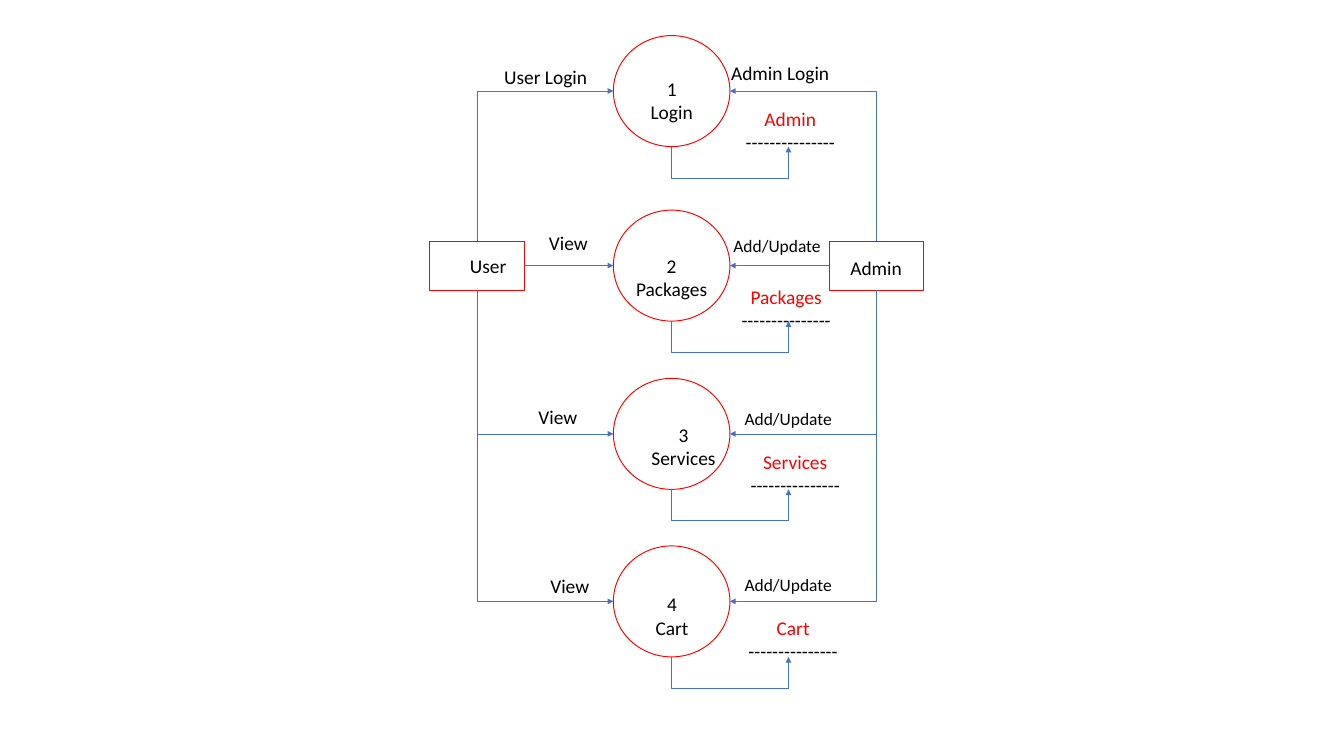
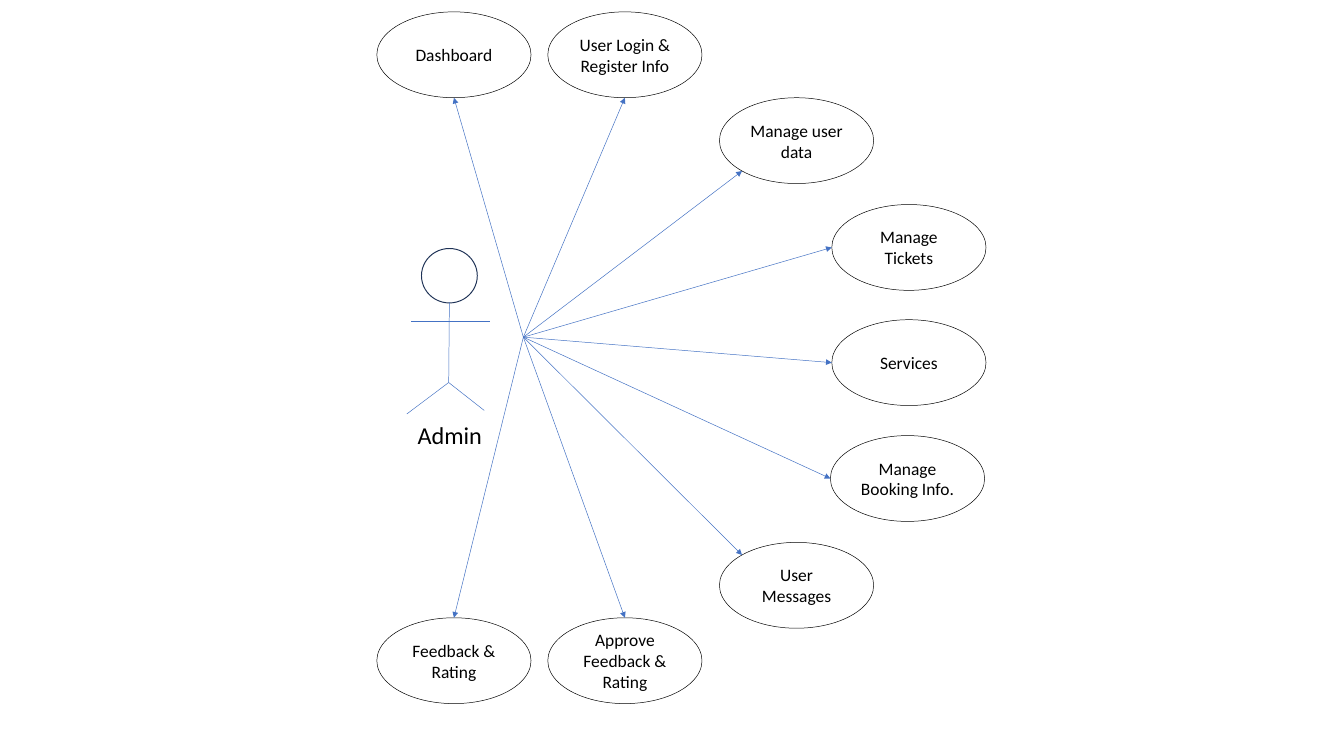
from dataclasses import dataclass
from math import sqrt

from lxml import etree
from pptx import Presentation
from pptx.dml.color import RGBColor
from pptx.enum.shapes import MSO_CONNECTOR as Link, MSO_SHAPE as Preset
from pptx.enum.text import MSO_ANCHOR as Anchor, PP_ALIGN as Align
from pptx.oxml.ns import qn
from pptx.util import Inches, Pt


@dataclass(frozen=True)
class Theme:
    font: str = "Calibri"
    text: str = "000000"
    accent: str = "FF0000"
    flow: str = "4472C4"
    paper: str = "FFFFFF"
    actor: str = "1E3256"
    label: int = 20
    small: int = 18
    actor_name: int = 25
    outline: float = 1
    thin: float = 0.5


THEME = Theme()
CIRCLE_LEFT, CIRCLE_W, CIRCLE_H = 8.79, 1.67, 1.59
ENTITY_TOP, ENTITY_W, ENTITY_H = 3.46, 1.35, 0.7
USER_LEFT, ADMIN_LEFT = 6.16, 11.88
STORE_X, STORE_DROP = 11.3, 0.45
OVAL_W, OVAL_H = 2.21, 1.23
HUB = (7.5, 4.83)
CORNER = (1 - 1 / sqrt(2)) / 2

# Name, circle top, left and top of the name
PROCESSES = [
    ("Login", 0.51, (9.22, 1.05, 0.81)),
    ("Packages", 3.01, (9.01, 3.59, 1.23)),
    ("Services", 5.42, (9.23, 6.01, 1.13)),
    ("Cart", 7.82, (9.29, 8.44, 0.68)),
]
STORES = [
    ("Admin", 10.58, 1.48),
    ("Packages", 10.52, 4.03),
    ("Services", 10.65, 6.4),
    ("Cart", 10.62, 8.77),
]
FLOW_LABELS = [
    ("User Login", 7.12, 0.89, 1.4, THEME.label),
    ("Admin Login", 10.37, 0.83, 1.62, THEME.label),
    ("View", 7.76, 3.26, 0.77, THEME.label),
    ("View", 7.61, 5.76, 0.77, THEME.label),
    ("View", 7.78, 8.18, 0.77, THEME.label),
    ("Add/Update", 10.4, 3.32, 1.47, THEME.small),
    ("Add/Update", 10.56, 5.8, 1.47, THEME.small),
    ("Add/Update", 10.56, 8.18, 1.47, THEME.small),
    ("User", 6.63, 3.59, 0.73, THEME.label),
    ("Admin", 12.08, 3.62, 0.95, THEME.label),
]
# Point of an oval's box where its arrow lands, as fractions of width and height
TOP, BOTTOM, LEFT = (0.5, 0), (0.5, 1), (0, 0.5)
TOP_LEFT, BOTTOM_LEFT = (CORNER, CORNER), (CORNER, 1 - CORNER)
USE_CASES = [
    ("Dashboard", 5.4, 0.17, BOTTOM),
    ("User Login & Register Info", 7.85, 0.17, BOTTOM),
    ("Manage user data", 10.31, 1.4, BOTTOM_LEFT),
    ("Manage Tickets", 11.92, 2.93, LEFT),
    ("Services", 11.92, 4.58, LEFT),
    ("Manage Booking Info.", 11.9, 6.24, LEFT),
    ("User Messages", 10.31, 7.77, TOP_LEFT),
    ("Approve Feedback & Rating", 7.85, 8.85, TOP),
    ("Feedback & Rating", 5.4, 8.85, TOP),
]
ACTOR_LIMBS = [
    ((6.44, 4.33), (6.43, 5.48)),
    ((6.43, 5.48), (5.83, 5.93)),
    ((6.43, 5.48), (6.94, 5.88)),
    ((5.89, 4.6), (7.02, 4.6)),
]


def rgb(colour):
    return RGBColor.from_string(colour)


def format_paragraphs(frame, size, colours):
    """Centre each paragraph and give it the colour at its position."""
    for paragraph, colour in zip(frame.paragraphs, colours):
        paragraph.alignment = Align.CENTER
        for run in paragraph.runs:
            run.font.name = THEME.font
            run.font.size = Pt(size)
            run.font.color.rgb = rgb(colour)


def add_label(slide, lines, left, top, width, size=THEME.label, first=THEME.text):
    """Unwrapped centred text whose first line may have its own colour."""
    height = 0.1 + len(lines) * size * 1.22 / 72
    label = slide.shapes.add_textbox(
        Inches(left), Inches(top), Inches(width), Inches(height))
    frame = label.text_frame
    frame.word_wrap = False
    frame.text = "\n".join(lines)
    format_paragraphs(frame, size, [first] + [THEME.text] * (len(lines) - 1))


def add_outline(slide, preset, box, colour, weight, fill=None, text=""):
    node = slide.shapes.add_shape(preset, *map(Inches, box))
    node.shadow.inherit = False
    node.line.color.rgb = rgb(colour)
    node.line.width = Pt(weight)
    if fill:
        node.fill.solid()
        node.fill.fore_color.rgb = rgb(fill)
    else:
        node.fill.background()
    if text:
        frame = node.text_frame
        frame.word_wrap = True
        frame.vertical_anchor = Anchor.MIDDLE
        frame.text = text
        format_paragraphs(frame, THEME.small, [THEME.text])


def add_link(slide, start, end, arrow=True, kind=Link.STRAIGHT):
    link = slide.shapes.add_connector(kind, *map(Inches, (*start, *end)))
    link.line.color.rgb = rgb(THEME.flow)
    link.line.width = Pt(THEME.thin)
    if arrow:
        etree.SubElement(link.line._get_or_add_ln(), qn("a:tailEnd"), type="triangle")
    etree.SubElement(link._element.spPr, qn("a:effectLst"))
    return link


def add_elbow(slide, start, end, arrow=True):
    """One-bend connector that runs vertically first, then horizontally."""
    (x1, y1), (x2, y2) = start, end
    mid_x, mid_y = (x1 + x2) / 2, (y1 + y2) / 2
    # The preset bends the other way, so a turned box with swapped sides is used.
    half_w, half_h = abs(y2 - y1) / 2, abs(x2 - x1) / 2
    side_x = 1 if x2 > x1 else -1
    side_y = 1 if y2 < y1 else -1
    elbow = add_link(
        slide,
        (mid_x + side_x * half_w, mid_y + side_y * half_h),
        (mid_x - side_x * half_w, mid_y - side_y * half_h),
        arrow, Link.ELBOW)
    properties = elbow._element.spPr
    properties.find(qn("a:prstGeom")).set("prst", "bentConnector2")
    degrees = 90 if side_x == side_y else 270
    properties.find(qn("a:xfrm")).set("rot", str(degrees * 60000))


def add_entity_flows(slide, entity_left, circle_x):
    """Box of an outside entity with an arrow to each of the four processes."""
    add_outline(slide, Preset.RECTANGLE, (entity_left, ENTITY_TOP, ENTITY_W, ENTITY_H),
                THEME.accent, THEME.outline)
    trunk_x = entity_left + ENTITY_W / 2
    near_x = entity_left + (ENTITY_W if circle_x > entity_left else 0)
    login_y, packages_y, services_y, cart_y = [
        top + CIRCLE_H / 2 for _, top, _ in PROCESSES]
    add_elbow(slide, (trunk_x, ENTITY_TOP), (circle_x, login_y))
    add_elbow(slide, (trunk_x, ENTITY_TOP + ENTITY_H), (circle_x, cart_y))
    add_link(slide, (near_x, packages_y), (circle_x, packages_y))
    add_link(slide, (trunk_x, services_y), (circle_x, services_y))


def build_data_flow(slide):
    for number, (name, top, name_box) in enumerate(PROCESSES, 1):
        add_outline(slide, Preset.OVAL, (CIRCLE_LEFT, top, CIRCLE_W, CIRCLE_H),
                    THEME.accent, THEME.outline)
        add_label(slide, [str(number), name], *name_box)
        bottom = top + CIRCLE_H
        turn = (STORE_X, bottom + STORE_DROP)
        add_elbow(slide, (CIRCLE_LEFT + CIRCLE_W / 2, bottom), turn, arrow=False)
        add_link(slide, turn, (STORE_X, bottom))
    add_entity_flows(slide, USER_LEFT, CIRCLE_LEFT)
    add_entity_flows(slide, ADMIN_LEFT, CIRCLE_LEFT + CIRCLE_W)
    for text, left, top, width, size in FLOW_LABELS:
        add_label(slide, [text], left, top, width, size)
    for name, left, top in STORES:
        add_label(slide, [name, "-" * 15], left, top, 1.49, first=THEME.accent)


def build_use_cases(slide):
    add_label(slide, ["Admin"], 5.88, 5.97, 1.13, THEME.actor_name)
    add_outline(slide, Preset.OVAL, (6.04, 3.56, 0.8, 0.78),
                THEME.actor, THEME.outline, THEME.paper)
    for start, end in ACTOR_LIMBS:
        add_link(slide, start, end, arrow=False)
    for text, left, top, (across, down) in USE_CASES:
        add_outline(slide, Preset.OVAL, (left, top, OVAL_W, OVAL_H),
                    THEME.text, THEME.thin, THEME.paper, text)
        add_link(slide, HUB, (left + across * OVAL_W, top + down * OVAL_H))


def main():
    deck = Presentation()
    deck.slide_width, deck.slide_height = Inches(19.26), Inches(10.83)
    for build in (build_data_flow, build_use_cases):
        build(deck.slides.add_slide(deck.slide_layouts[6]))
    deck.save("out.pptx")


if __name__ == "__main__":
    main()
